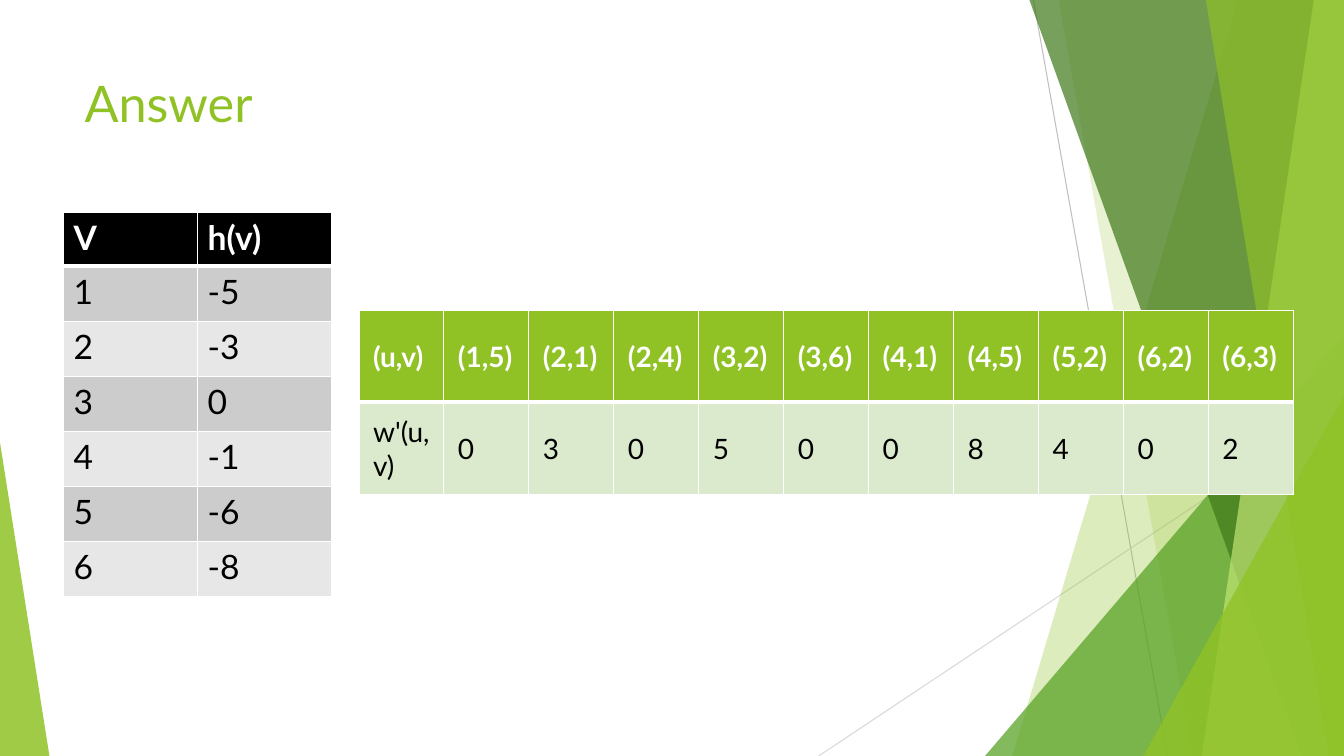
import pptx
import pptx.dml.color
import pptx.enum.shapes
import pptx.enum.text
import pptx.oxml
import pptx.oxml.ns
import pptx.util

Inches = pptx.util.Inches
WIDTH, HEIGHT = 13.33, 7.5
FONT = "Lato"
GREEN, WHITE, BLACK = "90C226", "FFFFFF", "000000"

# Offsets of each facet's left edge from the right side: (top, bottom, colour, opacity)
LOWER_FACETS = [(1.05, 3.29, GREEN, 30), (2.83, 1.5, GREEN, 20)]
UPPER_FACETS = [(3.12, 0.42, "3F7819", 70), (0.3, 1.41, "C0E474", 70), (1.37, 0.15, GREEN, 65)]

POTENTIALS = [("V", "h(v)"), ("1", "-5"), ("2", "-3"), ("3", "0"),
              ("4", "-1"), ("5", "-6"), ("6", "-8")]
WEIGHTS = [
    ("(u,v)", "(1,5)", "(2,1)", "(2,4)", "(3,2)", "(3,6)",
     "(4,1)", "(4,5)", "(5,2)", "(6,2)", "(6,3)"),
    ("w'(u,v)", "0", "3", "0", "5", "0", "0", "8", "4", "0", "2"),
]


def rgb(value):
    return pptx.dml.color.RGBColor.from_string(value)


def write_text(frame, text, size, color, bold=False):
    frame.word_wrap = True
    run = frame.paragraphs[0].add_run()
    run.text = text
    run.font.name = FONT
    run.font.size = pptx.util.Pt(size)
    run.font.bold = bold
    run.font.color.rgb = rgb(color)


def paint(shape, color, opacity):
    """Give a shape a translucent fill without outline or shadow."""
    shape.shadow.inherit = False
    shape.line.fill.background()
    shape.fill.solid()
    shape.fill.fore_color.rgb = rgb(color)
    fill_color = shape.element.spPr.find(".//" + pptx.oxml.ns.qn("a:srgbClr"))
    alpha = fill_color.makeelement(pptx.oxml.ns.qn("a:alpha"), {"val": str(opacity * 1000)})
    fill_color.append(alpha)


def add_line(slide, start, end, color):
    line = slide.shapes.add_connector(
        pptx.enum.shapes.MSO_CONNECTOR.STRAIGHT, *map(Inches, start + end))
    line.line.color.rgb = rgb(color)
    line.line.width = pptx.util.Pt(0.75)
    properties = line.element.spPr
    properties.append(properties.makeelement(pptx.oxml.ns.qn("a:effectLst"), {}))


def add_triangle(slide, box, apex, color, opacity):
    triangle = slide.shapes.add_shape(
        pptx.enum.shapes.MSO_SHAPE.ISOSCELES_TRIANGLE, *map(Inches, box))
    triangle.adjustments[0] = apex
    paint(triangle, color, opacity)


def add_facets(slide, box, facets):
    """Draw full-height facets that share the right side of the box."""
    left, top, width, height = box
    right, bottom = left + width, top + height
    for top_offset, bottom_offset, color, opacity in facets:
        outline = [(right, top), (right, bottom), (right - bottom_offset, bottom)]
        builder = slide.shapes.build_freeform(Inches(right - top_offset), Inches(top))
        builder.add_line_segments([(Inches(x), Inches(y)) for x, y in outline], close=True)
        paint(builder.convert_to_shape(), color, opacity)


def add_corner_triangle(slide, box, width, height, color, opacity):
    """Place a right triangle in the lower right corner of the box."""
    right, bottom = box[0] + box[2], box[1] + box[3]
    add_triangle(slide, (right - width, bottom - height, width, height), 1, color, opacity)


def add_right_decoration(slide, box):
    left, top, width, height = box
    right, bottom = left + width, top + height
    add_line(slide, (right - 3.08, top), (right - 1.75, bottom), "BFBFBF")
    add_line(slide, (right, top + 4.03), (left, bottom), "D9D9D9")
    add_facets(slide, box, LOWER_FACETS)
    add_corner_triangle(slide, box, 3.56, 4.17, "54A021", 72)
    add_facets(slide, box, UPPER_FACETS)
    add_corner_triangle(slide, box, 1.99, 3.57, GREEN, 80)


def add_title(slide, box, text):
    frame = slide.shapes.add_textbox(*map(Inches, box)).text_frame
    frame.vertical_anchor = pptx.enum.text.MSO_ANCHOR.TOP
    write_text(frame, text, 36, GREEN)


def add_borders(cell, **points):
    """Draw white borders; the keywords L, R, T and B give widths in points."""
    properties = cell._tc.get_or_add_tcPr()
    for side, width in points.items():
        properties.append(pptx.oxml.parse_xml(
            f'<a:ln{side} {pptx.oxml.ns.nsdecls("a")} w="{pptx.util.Pt(width)}">'
            f'<a:solidFill><a:srgbClr val="{WHITE}"/></a:solidFill></a:ln{side}>'))


def add_grid(slide, box, rows, header_height, header_fill, body_fills, size,
             anchor=pptx.enum.text.MSO_ANCHOR.TOP, margins=(0.1, 0.05)):
    """Fill the box with a table whose body rows share the height below the header."""
    left, top, width, height = box
    table = slide.shapes.add_table(len(rows), len(rows[0]), *map(Inches, box)).table
    for column in table.columns:
        column.width = Inches(width / len(rows[0]))
    for index, values in enumerate(rows):
        header = index == 0
        body_height = (height - header_height) / (len(rows) - 1)
        table.rows[index].height = Inches(header_height if header else body_height)
        fill = header_fill if header else body_fills[(index - 1) % len(body_fills)]
        for cell, value in zip(table.rows[index].cells, values):
            add_borders(cell, L=1, R=1, T=3 if index == 1 else 1, B=3 if header else 1)
            cell.fill.solid()
            cell.fill.fore_color.rgb = rgb(fill)
            cell.vertical_anchor = anchor
            cell.margin_left = cell.margin_right = Inches(margins[0])
            cell.margin_top = cell.margin_bottom = Inches(margins[1])
            write_text(cell.text_frame, value, size, WHITE if header else BLACK, bold=header)


def main():
    presentation = pptx.Presentation()
    presentation.slide_width = Inches(WIDTH)
    presentation.slide_height = Inches(HEIGHT)
    slide = presentation.slides.add_slide(presentation.slide_layouts[6])
    add_right_decoration(slide, (8.12, 0, WIDTH - 8.12, HEIGHT))
    add_triangle(slide, (0, 4.39, 0.49, 3.11), 0, GREEN, 85)
    add_title(slide, (0.74, 0.67, 9.4, 1.44), "Answer")
    add_grid(slide, (0.63, 2.11, 2.66, 3.81), POTENTIALS, 0.53, BLACK,
             ["CCCCCC", "E7E7E7"], 24)
    add_grid(slide, (3.56, 3.08, 9.27, 1.83), WEIGHTS, 0.91, GREEN, ["DBE9CD"], 20,
             anchor=pptx.enum.text.MSO_ANCHOR.MIDDLE, margins=(0.14, 0.06))
    presentation.save("out.pptx")


if __name__ == "__main__":
    main()
